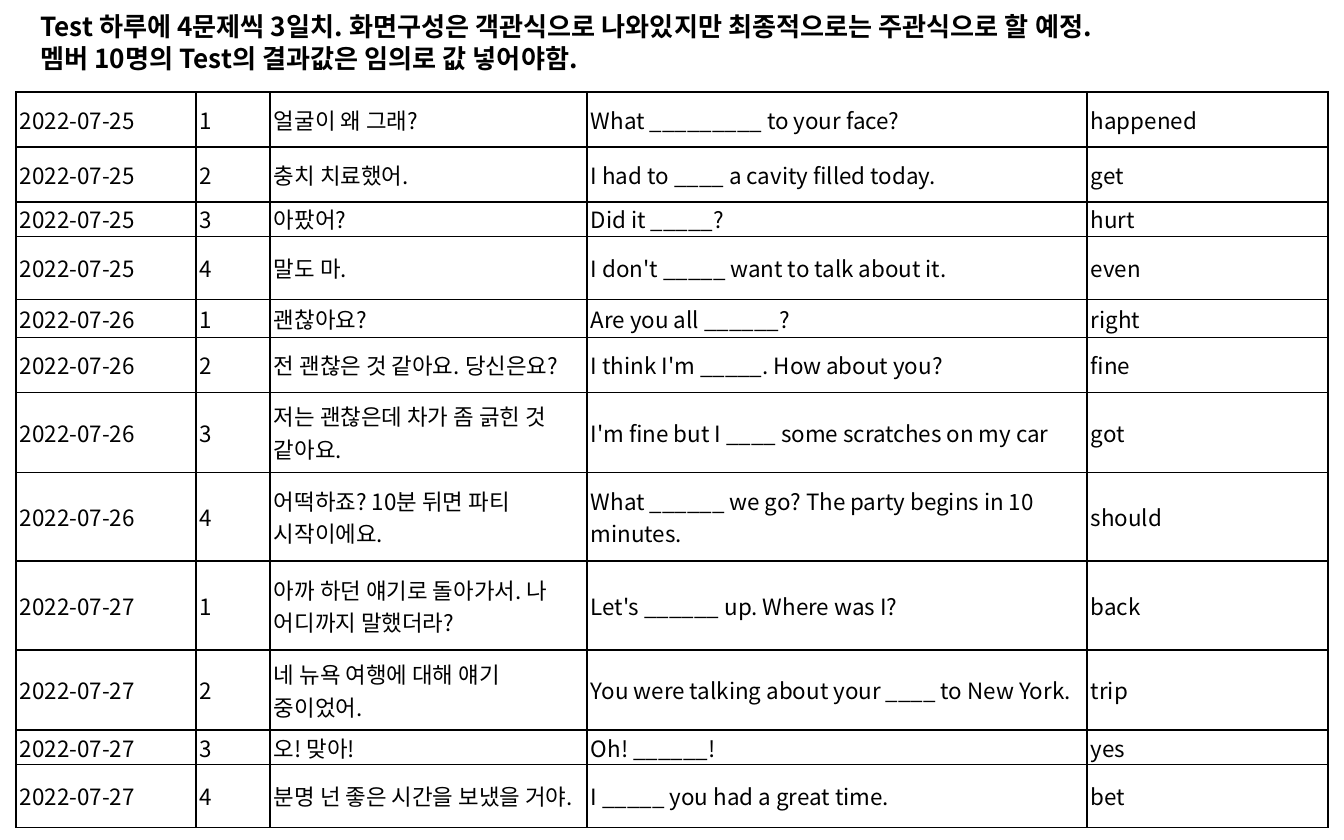
from dataclasses import dataclass

from pptx import Presentation
from pptx import util as u
from pptx.dml.color import RGBColor
from pptx.enum import text
from pptx.oxml import parse_xml
from pptx.oxml.ns import nsdecls, qn

EMU_PER_PX = 914400 / 134.4


def px(length):
    return u.Emu(round(length * EMU_PER_PX))


@dataclass(frozen=True)
class Theme:
    font: str = "Noto Sans CJK KR"
    ink: str = "000000"
    note_size: int = 14
    cell_size: int = 12
    border: int = 1


class Sheet:
    def __init__(self, slide, theme):
        self.slide = slide
        self.theme = theme

    def style(self, paragraph, size, bold=False):
        font = paragraph.font
        font.name, font.size, font.bold = self.theme.font, u.Pt(size), bold
        font.color.rgb = RGBColor.from_string(self.theme.ink)
        # Hangul takes its typeface from the East Asian slot
        latin = next(paragraph._p.iter(qn("a:latin")))
        latin.addnext(parse_xml(
            f'<a:ea {nsdecls("a")} typeface="{self.theme.font}"/>'))

    def note(self, left, top, width, height, lines):
        frame = self.slide.shapes.add_textbox(
            px(left), px(top), px(width), px(height)).text_frame
        frame.word_wrap = True
        frame.auto_size = text.MSO_AUTO_SIZE.SHAPE_TO_FIT_TEXT
        frame.text = "\n".join(lines)
        for paragraph in frame.paragraphs:
            self.style(paragraph, self.theme.note_size, bold=True)

    def outline(self, cell):
        properties = cell._tc.get_or_add_tcPr()
        for position, side in enumerate(("lnL", "lnR", "lnT", "lnB")):
            properties.insert(position, parse_xml(
                f'<a:{side} {nsdecls("a")} w="{u.Pt(self.theme.border)}">'
                f'<a:solidFill><a:srgbClr val="{self.theme.ink}"/></a:solidFill>'
                f'</a:{side}>'))

    def table(self, left, top, widths, heights, rows):
        grid = self.slide.shapes.add_table(
            len(rows), len(widths), px(left), px(top),
            px(sum(widths)), px(sum(heights))).table
        grid.first_row = grid.horz_banding = False
        for column, width in zip(grid.columns, widths):
            column.width = px(width)
        for row, height, values in zip(grid.rows, heights, rows):
            row.height = px(height)
            for cell, value in zip(row.cells, values):
                cell.text = value
                cell.vertical_anchor = text.MSO_ANCHOR.MIDDLE
                cell.margin_left = cell.margin_right = px(4)
                cell.margin_top = cell.margin_bottom = px(1)
                cell.fill.background()
                self.outline(cell)
                self.style(cell.text_frame.paragraphs[0], self.theme.cell_size)


# Four questions a day: row height, Korean line, English line, answer
QUIZ = {
    "2022-07-25": [
        (55, "얼굴이 왜 그래?", "What _________ to your face?", "happened"),
        (55, "충치 치료했어.", "I had to ____ a cavity filled today.", "get"),
        (31, "아팠어?", "Did it _____?", "hurt"),
        (63, "말도 마.", "I don't _____ want to talk about it.", "even"),
    ],
    "2022-07-26": [
        (38, "괜찮아요?", "Are you all ______?", "right"),
        (55, "전 괜찮은 것 같아요. 당신은요?",
         "I think I'm _____. How about you?", "fine"),
        (80, "저는 괜찮은데 차가 좀 긁힌 것 같아요.",
         "I'm fine but I ____ some scratches on my car", "got"),
        (89, "어떡하죠? 10분 뒤면 파티 시작이에요.",
         "What ______ we go? The party begins in 10 minutes.", "should"),
    ],
    "2022-07-27": [
        (89, "아까 하던 얘기로 돌아가서. 나 어디까지 말했더라?",
         "Let's ______ up. Where was I?", "back"),
        (80, "네 뉴욕 여행에 대해 얘기 중이었어.",
         "You were talking about your ____ to New York.", "trip"),
        (31, "오! 맞아!", "Oh! ______!", "yes"),
        (63, "분명 넌 좋은 시간을 보냈을 거야.",
         "I _____ you had a great time.", "bet"),
    ],
}


def main():
    deck = Presentation()
    deck.slide_width, deck.slide_height = px(1344), px(840)
    sheet = Sheet(deck.slides.add_slide(deck.slide_layouts[6]), Theme())

    # Quiz table
    heights = [question[0] for day in QUIZ.values() for question in day]
    rows = [(date, str(number), *question[1:])
            for date, day in QUIZ.items()
            for number, question in enumerate(day, 1)]
    sheet.table(16, 92, [180, 74, 317, 500, 241], heights, rows)

    # Planning note above the table
    sheet.note(27, 4, 1281, 77, [
        "Test 하루에 4문제씩 3일치. 화면구성은 객관식으로 나와있지만 "
        "최종적으로는 주관식으로 할 예정.",
        "멤버 10명의 Test의 결과값은 임의로 값 넣어야함.",
    ])

    deck.save("out.pptx")


if __name__ == "__main__":
    main()
